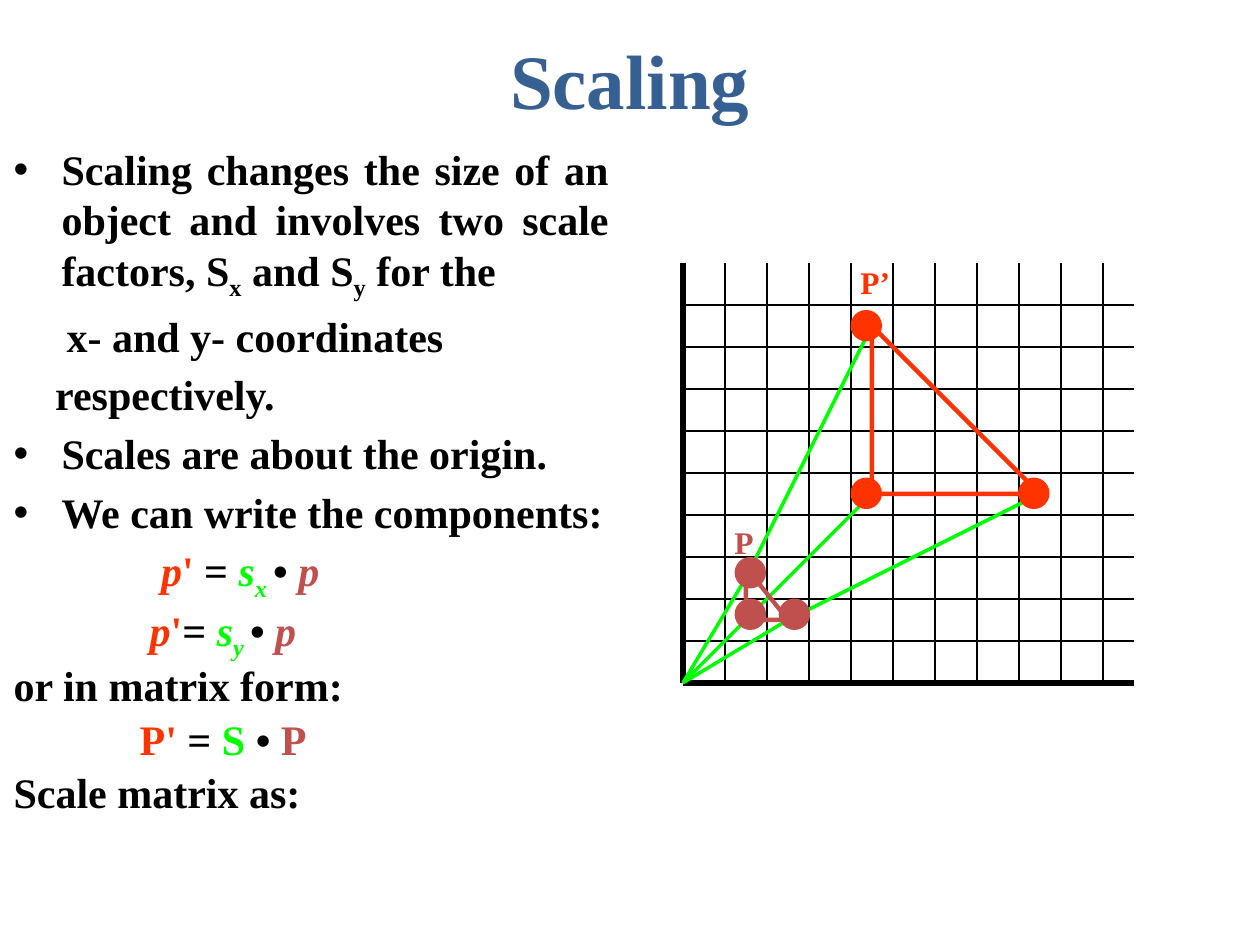
import lxml.etree
import pptx
import pptx.dml.color
import pptx.enum.shapes
import pptx.enum.text
import pptx.oxml.ns
import pptx.util

Inches = pptx.util.Inches
Pt = pptx.util.Pt
RGBColor = pptx.dml.color.RGBColor
MSO_SHAPE = pptx.enum.shapes.MSO_SHAPE
PP_ALIGN = pptx.enum.text.PP_ALIGN
qn = pptx.oxml.ns.qn

BLACK = RGBColor(0x00, 0x00, 0x00)
BLUE = RGBColor(0x36, 0x60, 0x92)
RED = RGBColor(0xFF, 0x33, 0x00)
GREEN = RGBColor(0x00, 0xFF, 0x00)
BRICK = RGBColor(0xC0, 0x50, 0x4D)

FONT = "Times New Roman"
CELL = 1 / 3
COLUMNS, ROWS = 10.75, 10
DOT = 0.25
HANG = 0.38

# Each span: text, colour, italic, subscript
OPERATOR = ("• ", BLACK, False, False)
EQUALS = ("= ", BLACK, False, False)


def plain(text):
    return (text, BLACK, False, False)


def component(prime, axis):
    return [("p", RED, True, False), (prime, RED, False, False), EQUALS,
            ("s", GREEN, True, False), (axis + " ", GREEN, True, True),
            OPERATOR, ("p", BRICK, True, False)]


# Each paragraph: left indent in inches, bulleted, line spacing, spans
BODY = [
    (HANG, True, 1.0, [
        plain("Scaling changes the size of an object and involves two scale factors, S"),
        ("x", BLACK, False, True), plain(" and S"),
        ("y", BLACK, False, True), plain(" for the")]),
    (0.42, False, 1.0, [plain("x- and y- coordinates")]),
    (0.33, False, 1.0, [plain("respectively.")]),
    (HANG, True, 1.0, [plain("Scales are about the origin.")]),
    (HANG, True, 1.0, [plain("We can write the components:")]),
    (1.17, False, 0.9, component("' ", "x")),
    (1.08, False, 0.9, component("'", "y")),
    (0, False, 0.9, [plain("or in matrix form:")]),
    (1.0, False, 0.9, [("P' ", RED, False, False), EQUALS,
                       ("S ", GREEN, False, False), OPERATOR,
                       ("P", BRICK, False, False)]),
    (0, False, 0.9, [plain("Scale matrix as:")]),
]


def add_text_box(page, left, top, width, height):
    box = page.shapes.add_textbox(Inches(left), Inches(top), Inches(width), Inches(height))
    box.text_frame.word_wrap = True
    return box.text_frame


def style(font, size, color):
    font.name, font.size, font.bold = FONT, Pt(size), True
    font.color.rgb = color


def add_label(page, text, size, color, left, top, width, height):
    frame = add_text_box(page, left, top, width, height)
    frame.text = text
    style(frame.paragraphs[0].runs[0].font, size, color)
    return frame


def set_indent(para, left, bulleted):
    props = para._p.get_or_add_pPr()
    props.set("marL", str(Inches(left)))
    props.set("indent", str(Inches(-HANG if bulleted else 0)))
    if bulleted:
        lxml.etree.SubElement(props, qn("a:buFont")).set("typeface", "Arial")
        lxml.etree.SubElement(props, qn("a:buChar")).set("char", "•")


def add_title(page, left, top, width, height):
    frame = add_label(page, "Scaling", 44, BLUE, left, top, width, height)
    frame.vertical_anchor = pptx.enum.text.MSO_ANCHOR.MIDDLE
    frame.paragraphs[0].alignment = PP_ALIGN.CENTER


def add_body(page, left, top, width, height):
    frame = add_text_box(page, left, top, width, height)
    for index, (indent, bulleted, spacing, spans) in enumerate(BODY):
        para = frame.add_paragraph() if index else frame.paragraphs[0]
        set_indent(para, indent, bulleted)
        para.alignment = PP_ALIGN.JUSTIFY
        para.line_spacing = spacing
        if index:
            para.space_before = Pt(4.8)
        for text, color, italic, subscript in spans:
            span = para.add_run()
            span.text = text
            style(span.font, 24, color)
            span.font.italic = italic
            if subscript:
                span.font._element.set("baseline", "-25000")


def add_line(page, start, end, color, weight, arrow=False):
    line = page.shapes.add_connector(
        pptx.enum.shapes.MSO_CONNECTOR.STRAIGHT,
        *(Inches(value) for value in (*start, *end)))
    line.line.color.rgb = color
    line.line.width = Pt(weight)
    if arrow:
        outline = line.line._get_or_add_ln()
        lxml.etree.SubElement(outline, qn("a:tailEnd")).set("type", "triangle")
    lxml.etree.SubElement(line._element.spPr, qn("a:effectLst"))


def add_triangle(page, left, top, width, height, color):
    triangle = page.shapes.add_shape(MSO_SHAPE.RIGHT_TRIANGLE, Inches(left), Inches(top),
                                     Inches(width), Inches(height))
    triangle.shadow.inherit = False
    triangle.fill.background()
    triangle.line.color.rgb = color
    triangle.line.width = Pt(2.5)


def add_dot(page, left, top, color):
    dot = page.shapes.add_shape(MSO_SHAPE.OVAL, Inches(left), Inches(top),
                                Inches(DOT), Inches(DOT))
    dot.shadow.inherit = False
    dot.fill.solid()
    dot.fill.fore_color.rgb = color
    dot.line.fill.background()


def add_diagram(page, left, bottom):
    """Draw the grid and both triangles, with the origin at (left, bottom)."""
    def at(column, row):
        return left + column * CELL, bottom - row * CELL

    add_line(page, at(0, ROWS), at(0, 0), BLACK, 3)
    add_line(page, at(0, 0), at(COLUMNS, 0), BLACK, 3)
    for column in range(1, int(COLUMNS) + 1):
        add_line(page, at(column, ROWS), at(column, 0), BLACK, 0.75)
    for row in range(1, ROWS):
        add_line(page, at(0, row), at(COLUMNS, row), BLACK, 0.75)

    small = [at(1.5, 2.5), at(1.5, 1.5), at(2.5, 1.5)]
    large = [at(4.5, 8.5), at(4.5, 4.5), at(8.5, 4.5)]
    for start, end in zip(small, large):
        add_line(page, start, end, GREEN, 2, arrow=True)
    add_triangle(page, *at(1.5, 2.75), CELL, 1.25 * CELL, BRICK)
    add_triangle(page, *large[0], 4 * CELL, 4 * CELL, RED)
    for corner in small:
        add_line(page, corner, at(0, 0), GREEN, 2)

    for x, y in [(5.83, 4.75), (6.18, 4.75), (5.83, 4.42)]:
        add_dot(page, x, y, BRICK)
    add_label(page, "P", 18, BRICK, 5.73, 4.1, 0.52, 0.4)
    for x, y in [(6.75, 3.79), (8.08, 3.79), (6.75, 2.46)]:
        add_dot(page, x, y, RED)
    add_label(page, "P’", 18, RED, 6.73, 2.04, 0.44, 0.4)


def main():
    deck = pptx.Presentation()
    deck.slide_width, deck.slide_height = Inches(10), Inches(7.5)
    page = deck.slides.add_slide(deck.slide_layouts[6])
    add_title(page, 0.75, 0, 8.5, 1.25)
    add_body(page, 0.01, 1.09, 4.92, 6.42)
    add_diagram(page, 5.42, 5.42)
    deck.save("out.pptx")


if __name__ == "__main__":
    main()
